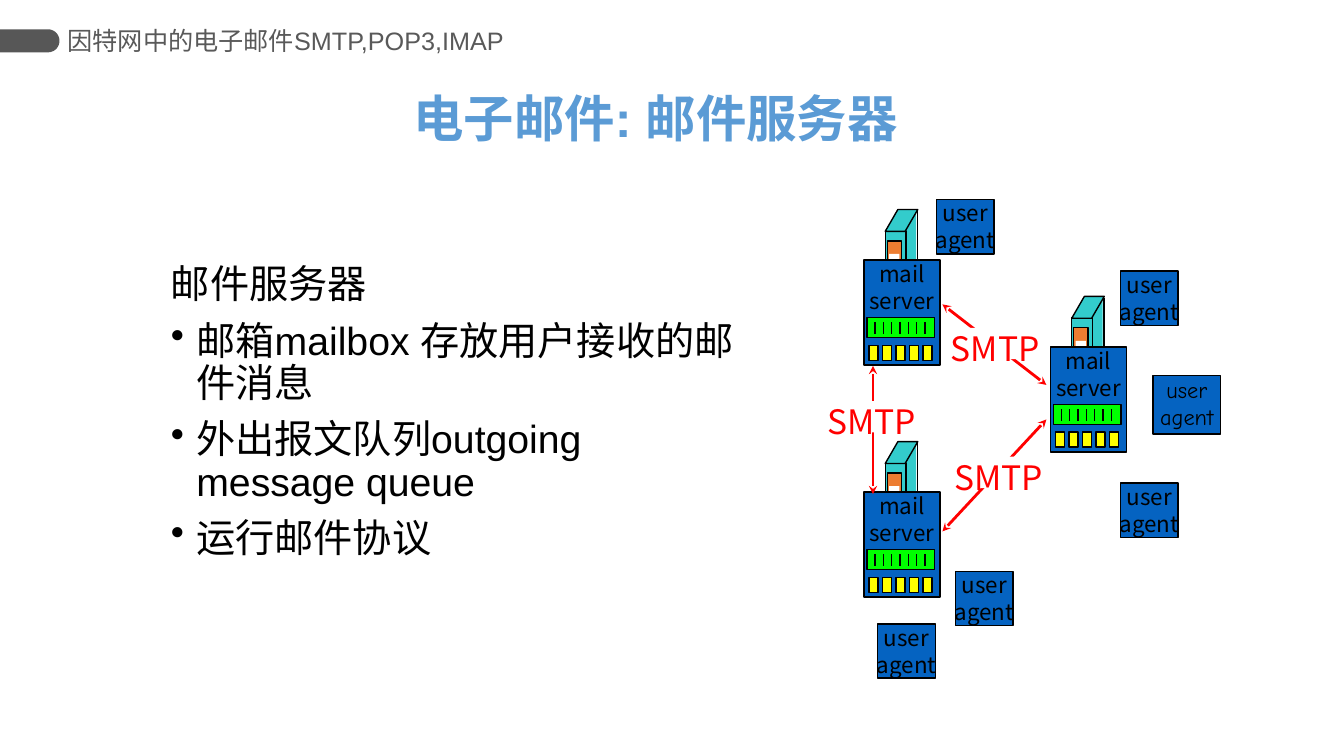
"""Build the slide on mail servers and the SMTP links between them."""
import math
from dataclasses import dataclass

import pptx
import pptx.dml.color
import pptx.enum.shapes
import pptx.enum.text
import pptx.oxml
import pptx.oxml.ns
import pptx.util

Cm = pptx.util.Cm
Pt = pptx.util.Pt
MSO = pptx.enum.shapes.MSO_SHAPE
ALIGN = pptx.enum.text.PP_ALIGN
ANCHOR = pptx.enum.text.MSO_ANCHOR

BLACK, WHITE, RED = "000000", "FFFFFF", "FF0000"
BLUE, TEAL, ORANGE = "0563C1", "33CCCC", "ED7D31"
GREEN, YELLOW = "00FF00", "FFFF00"
SANS = "Noto Sans CJK SC"


@dataclass(frozen=True)
class Box:
    x: float
    y: float
    w: float
    h: float
    fill: str
    line: str | None = BLACK
    lines: tuple[str, ...] = ()
    size: float = 16
    color: str = BLACK
    font: str = SANS
    kind: MSO = MSO.RECTANGLE


@dataclass(frozen=True)
class Link:
    x1: float
    y1: float
    x2: float
    y2: float
    color: str = BLACK
    width: float = 1
    arrows: bool = False


TOWER = (
    Box(0.94, -1.24, 0.38, 1.85, TEAL, None),
    Box(0.54, -0.73, 0.52, 1.85, TEAL),
    Box(0.54, -1.27, 0.82, 0.55, TEAL, kind=MSO.PARALLELOGRAM),
    Box(0.59, -0.48, 0.36, 1.07, ORANGE),
    Box(0.64, -0.15, 0.26, 0.38, WHITE, None),
)
TOWER_EDGE = Link(1.35, -1.24, 1.35, 0.58)
FRONT = (
    Box(0, 0, 1.92, 2.65, BLUE, lines=("mail", "server")),
    Box(0.08, 1.45, 1.7, 0.51, GREEN),
    *(Box(0.13 + 0.34 * i, 2.15, 0.23, 0.38, YELLOW) for i in range(5)),
)
QUEUE_MARKS = tuple(Link(0.28 + 0.21 * i, 1.57, 0.28 + 0.21 * i, 1.86) for i in range(7))
SERVERS = ((26.47, 8.74), (21.77, 12.4), (21.77, 6.55))

AGENT_TEXT = ("user", "agent")
AGENTS = (
    Box(29.06, 9.47, 1.7, 1.47, BLUE, lines=AGENT_TEXT, font="Comic Neue"),
    *(Box(x, y, 1.45, 1.37, BLUE, lines=AGENT_TEXT)
      for x, y in ((28.24, 6.83), (28.24, 12.17), (24.08, 14.4),
                   (22.12, 15.72), (23.6, 5.03))),
)
SMTP_LINKS = tuple(
    Link(*ends, color=RED, width=2, arrows=True)
    for ends in ((23.75, 7.67, 26.37, 9.7), (23.75, 13.39, 26.37, 10.57),
                 (22, 12.45, 22, 9.22))
)
SMTP_LABELS = tuple(
    Box(x, y, 2.01, 0.79, WHITE, None, ("SMTP",), 24, RED)
    for x, y in ((24.16, 11.51), (24.08, 8.26), (20.96, 10.11))
)
BODY = ("邮件服务器", "邮箱mailbox 存放用户接收的邮件消息",
        "外出报文队列outgoing message queue", "运行邮件协议")


def rgb(value: str) -> pptx.dml.color.RGBColor:
    return pptx.dml.color.RGBColor.from_string(value)


def add_xml(parent, tag: str, **attrs: str) -> None:
    el = pptx.oxml.parse_xml(f"<a:{tag} {pptx.oxml.ns.nsdecls('a')}/>")
    for name, value in attrs.items():
        el.set(name, value)
    parent.append(el)


def set_font(p, name: str, size: float, color: str, bold: bool = False) -> None:
    p.font.name = name
    p.font.size = Pt(size)
    p.font.bold = bold
    p.font.color.rgb = rgb(color)


def paint(sp, fill: str, line: str | None) -> None:
    sp.shadow.inherit = False
    sp.fill.solid()
    sp.fill.fore_color.rgb = rgb(fill)
    if line:
        sp.line.color.rgb = rgb(line)
        sp.line.width = Pt(1)
    else:
        sp.line.fill.background()


def add_box(shapes, box: Box, dx: float = 0, dy: float = 0) -> None:
    sp = shapes.add_shape(box.kind, Cm(box.x + dx), Cm(box.y + dy), Cm(box.w), Cm(box.h))
    paint(sp, box.fill, box.line)
    if box.kind == MSO.PARALLELOGRAM:
        sp.adjustments[0] = 0.58
    if not box.lines:
        return
    tf = sp.text_frame
    tf.text = "\n".join(box.lines)
    tf.word_wrap = False
    tf.vertical_anchor = ANCHOR.TOP
    tf.margin_left = tf.margin_right = tf.margin_top = tf.margin_bottom = 0
    for p in tf.paragraphs:
        p.alignment = ALIGN.CENTER
        set_font(p, box.font, box.size, box.color)


def add_link(shapes, link: Link, dx: float = 0, dy: float = 0) -> None:
    cn = shapes.add_connector(
        pptx.enum.shapes.MSO_CONNECTOR.STRAIGHT,
        Cm(link.x1 + dx), Cm(link.y1 + dy), Cm(link.x2 + dx), Cm(link.y2 + dy))
    cn.line.color.rgb = rgb(link.color)
    cn.line.width = Pt(link.width)
    if link.arrows:
        for tag in ("headEnd", "tailEnd"):
            add_xml(cn.line._get_or_add_ln(), tag, type="stealth")
    add_xml(cn._element.spPr, "effectLst")


def add_server(shapes, x: float, y: float) -> None:
    group = shapes.add_group_shape().shapes
    for box in TOWER:
        add_box(group, box, x, y)
    add_link(group, TOWER_EDGE, x, y)
    for box in FRONT:
        add_box(group, box, x, y)
    for mark in QUEUE_MARKS:
        add_link(group, mark, x, y)


def add_header(shapes) -> None:
    top, length, radius = 0.74, 1.5, 0.29
    angles = [math.radians(a) for a in range(-90, 91, 10)]
    arc = [(Cm(length - radius + radius * math.cos(a)),
            Cm(top + radius + radius * math.sin(a))) for a in angles]
    builder = shapes.build_freeform(0, Cm(top))
    builder.add_line_segments(arc + [(0, Cm(top + 2 * radius))])
    paint(builder.convert_to_shape(), "575757", None)
    tf = shapes.add_textbox(Cm(1.7), Cm(0.48), Cm(11.96), Cm(1.07)).text_frame
    tf.text = "因特网中的电子邮件SMTP,POP3,IMAP"
    tf.word_wrap = True
    tf.vertical_anchor = ANCHOR.MIDDLE
    tf.margin_left = tf.margin_right = 0
    set_font(tf.paragraphs[0], "Arial", 18, "595959")


def add_title(shapes) -> None:
    sp = shapes.title
    sp.left, sp.top, sp.width, sp.height = Cm(10.16), Cm(2.24), Cm(21.59), Cm(2.49)
    tf = sp.text_frame
    tf.text = "电子邮件: 邮件服务器"
    tf.vertical_anchor = ANCHOR.TOP
    tf.auto_size = pptx.enum.text.MSO_AUTO_SIZE.NONE
    p = tf.paragraphs[0]
    p.alignment = ALIGN.LEFT
    p.line_spacing = 0.9
    set_font(p, "Arial", 36, "5B9BD5", True)


def add_body(shapes) -> None:
    tf = shapes.add_textbox(Cm(4.06), Cm(6.55), Cm(14.83), Cm(8.46)).text_frame
    tf.text = "\n".join(BODY)
    tf.word_wrap = True
    for i, p in enumerate(tf.paragraphs):
        pPr = p._p.get_or_add_pPr()
        pPr.set("marL", str(Cm(0.64)))
        pPr.set("indent", str(Cm(-0.64)))
        if i:
            add_xml(pPr, "buChar", char="•")
            p.space_before = Pt(10)
        p.line_spacing = 0.9
        set_font(p, "Arial", 28, BLACK)


def main() -> None:
    prs = pptx.Presentation()
    prs.slide_width, prs.slide_height = Cm(33.87), Cm(19.05)
    shapes = prs.slides.add_slide(prs.slide_layouts[5]).shapes
    add_header(shapes)
    add_title(shapes)
    add_body(shapes)
    for x, y in SERVERS:
        add_server(shapes, x, y)
    for link in SMTP_LINKS:
        add_link(shapes, link)
    for box in AGENTS + SMTP_LABELS:
        add_box(shapes, box)
    prs.save("out.pptx")


if __name__ == "__main__":
    main()
